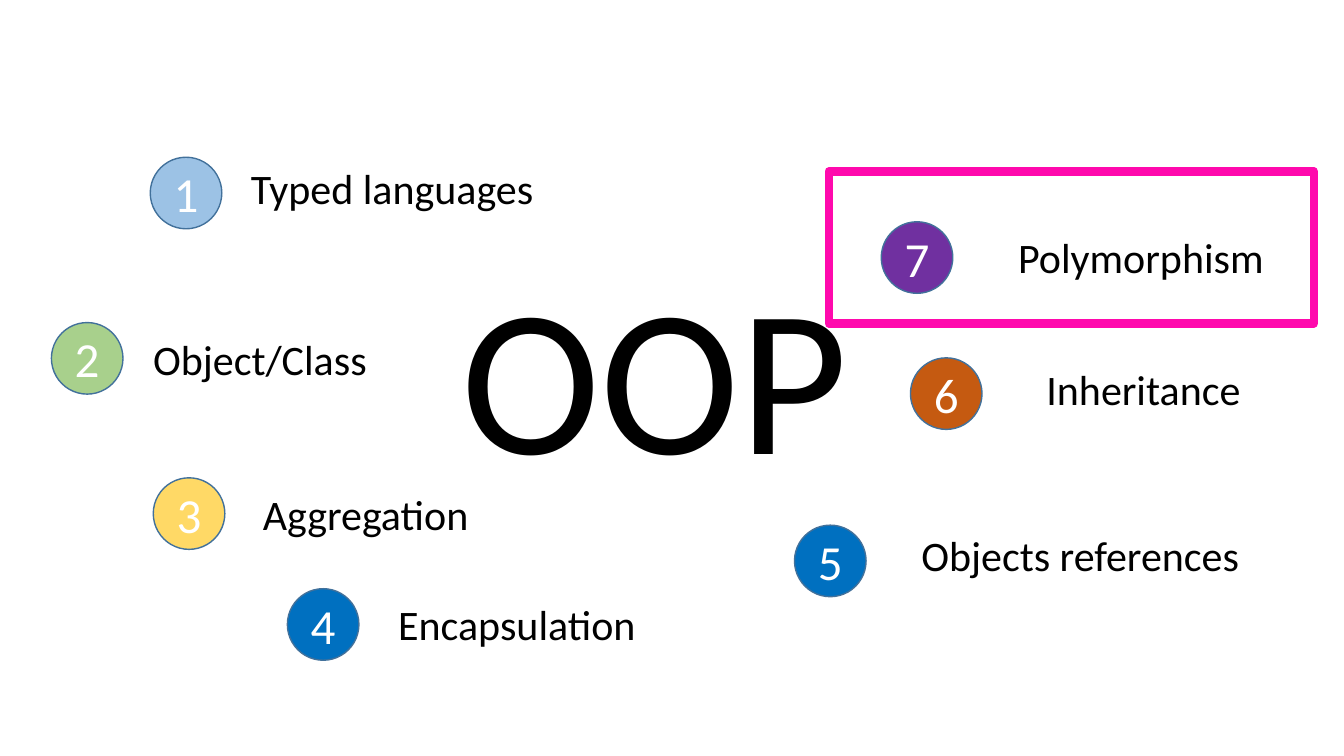
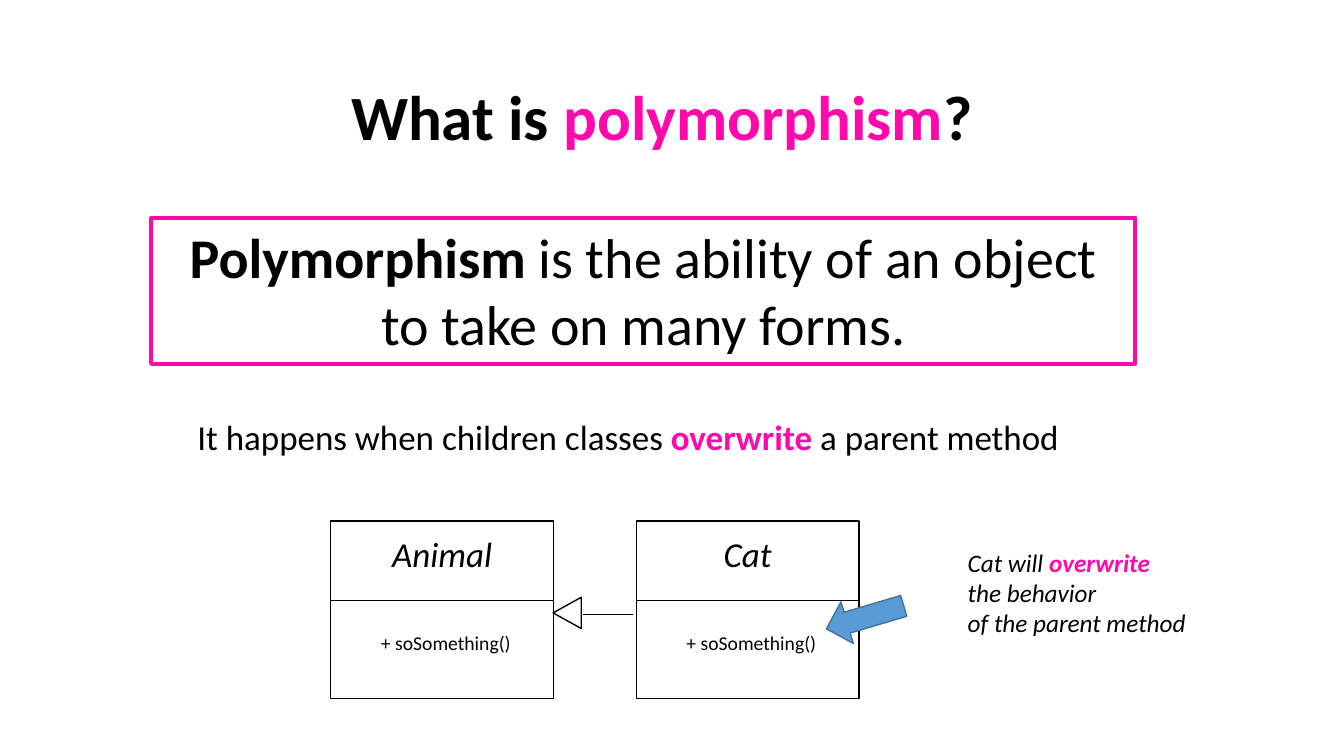
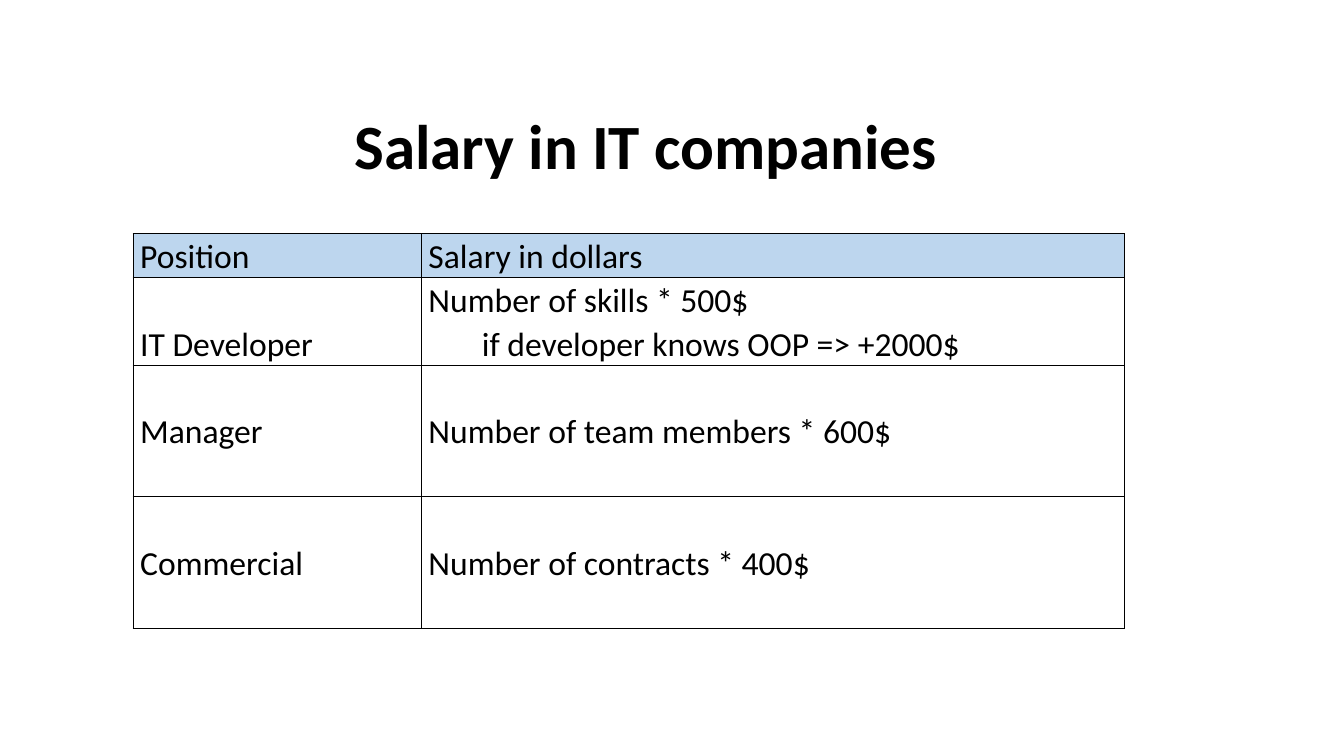
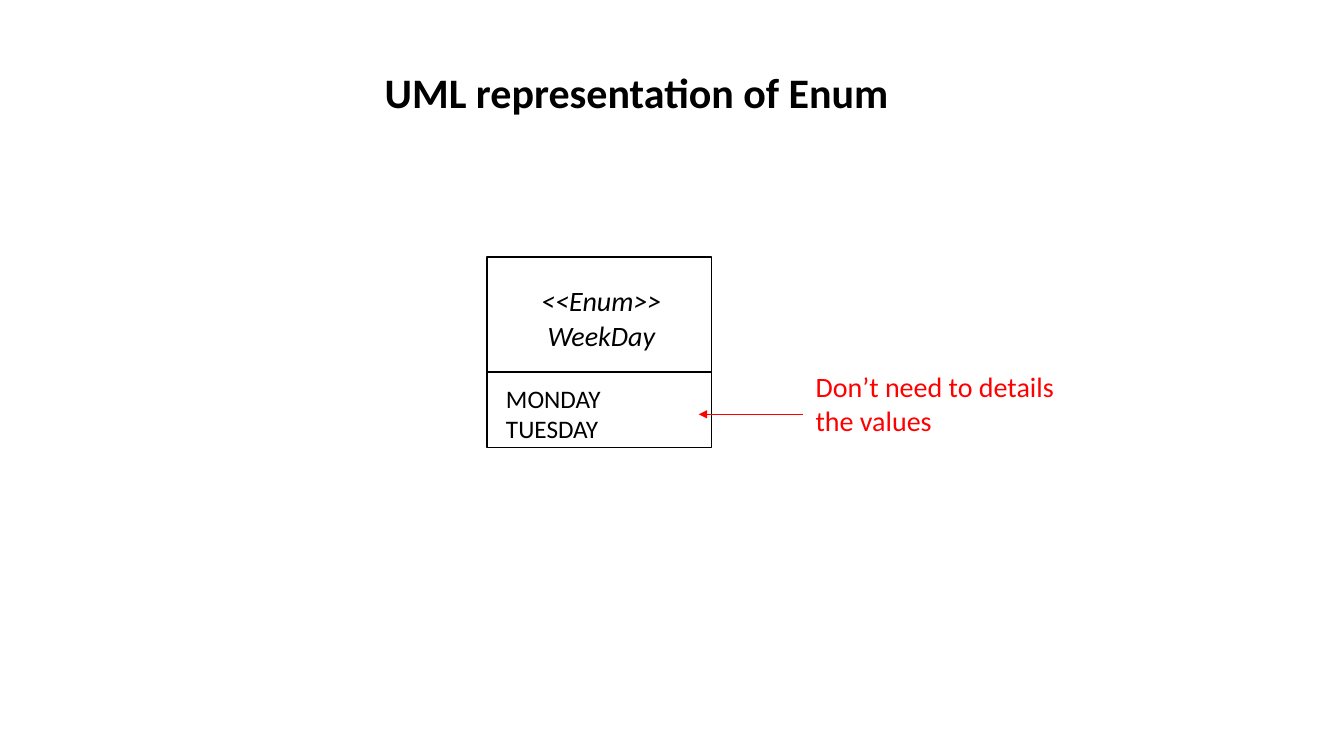
from lxml import etree
from pptx import Presentation
from pptx import util as u
from pptx.dml.color import RGBColor
from pptx.enum import shapes, text
from pptx.oxml.ns import qn

PX = 9144
FONT = "Calibri"
INK = RGBColor(0, 0, 0)
WHITE = RGBColor(255, 255, 255)
PINK = RGBColor(0xFF, 0x09, 0xAD)
RED = RGBColor(255, 0, 0)
BLUE = RGBColor(0x00, 0x70, 0xC0)
RIM = RGBColor(0x42, 0x71, 0x9B)
HEAD = RGBColor(0xBD, 0xD6, 0xEE)
ARROW = RGBColor(0x5B, 0x9B, 0xD5)

KIND = shapes.MSO_SHAPE
MID = text.PP_ALIGN.CENTER
ANCHOR = text.MSO_ANCHOR

TOPICS = [
    ("Typed languages", (149, 156), (239, 156), RGBColor(0x9C, 0xC2, 0xE5)),
    ("Object/Class", (51, 320), (142, 326), RGBColor(0xA8, 0xD0, 0x8C)),
    ("Aggregation", (152, 474), (251, 480), RGBColor(0xFF, 0xD9, 0x66)),
    ("Encapsulation", (285, 584), (385, 589), BLUE),
    ("Objects references", (788, 521), (904, 520), BLUE),
    ("Inheritance", (903, 355), (1028, 356), RGBColor(0xC5, 0x5A, 0x11)),
    ("Polymorphism", (874, 220), (1000, 225), RGBColor(0x70, 0x30, 0xA0)),
]

CLASSES = [("Animal", 328), ("Cat", 631)]
METHOD = "+ soSomething()"

COLS = [286, 697]
LINE = 43.5
SALARY = [
    (1, ANCHOR.TOP, "Position", ["Salary in dollars"]),
    (2, ANCHOR.BOTTOM, "IT Developer",
     ["Number of skills * 500$", "if developer knows OOP => +2000$"]),
    (3, ANCHOR.MIDDLE, "Manager", ["Number of team members * 600$"]),
    (3, ANCHOR.MIDDLE, "Commercial", ["Number of contracts * 400$"]),
]


def emu(*nums):
    return [u.Emu(round(n * PX)) for n in nums]


def style(para, size, color=INK, bold=False, italic=False, align=None):
    font = para.font
    font.name, font.size = FONT, u.Pt(size)
    font.bold, font.italic = bold, italic
    font.color.rgb = color
    para.alignment = align


def write(frame, lines, size, **look):
    for i, line in enumerate(lines):
        para = frame.add_paragraph() if i else frame.paragraphs[0]
        for part in [line] if isinstance(line, str) else line:
            run = para.add_run()
            if isinstance(part, str):
                run.text = part
            else:
                run.text, run.font.color.rgb = part
                run.font.bold = True
        style(para, size, **look)


def label(slide, box, lines, size, wrap=True, **look):
    frame = slide.shapes.add_textbox(*emu(*box)).text_frame
    frame.word_wrap = wrap
    write(frame, lines, size, **look)


def title(slide, box, parts, size=45):
    label(slide, box, [parts], size, wrap=False, bold=True, align=MID)


def shape(slide, kind, box, fill=WHITE, line=INK, width=1, turn=0):
    item = slide.shapes.add_shape(kind, *emu(*box))
    item.shadow.inherit = False
    if fill is None:
        item.fill.background()
    else:
        item.fill.solid()
        item.fill.fore_color.rgb = fill
    item.line.color.rgb = line
    item.line.width = u.Pt(width)
    item.rotation = turn
    return item


def rule(slide, ends, color=INK, width=1, tip=False):
    item = slide.shapes.add_connector(shapes.MSO_CONNECTOR.STRAIGHT, *emu(*ends))
    item.line.color.rgb = color
    item.line.width = u.Pt(width)
    if tip:
        etree.SubElement(item.line._get_or_add_ln(), qn("a:tailEnd"), type="triangle")
    etree.SubElement(item._element.spPr, qn("a:effectLst"))


def border(cell):
    props = cell._tc.get_or_add_tcPr()
    for i, side in enumerate(("lnL", "lnR", "lnT", "lnB")):
        edge = etree.Element(qn("a:" + side), w=str(u.Pt(1)))
        fill = etree.SubElement(edge, qn("a:solidFill"))
        etree.SubElement(fill, qn("a:srgbClr"), val=str(INK))
        props.insert(i, edge)


def topics(slide):
    label(slide, (448, 238, 408, 263), ["OOP"], 150)
    for i, (name, dot, spot, color) in enumerate(TOPICS, 1):
        label(slide, (*spot, 350, 61), [name], 30)
        disc = shape(slide, KIND.OVAL, (*dot, 71, 71), color, RIM)
        disc.text_frame.vertical_anchor = ANCHOR.MIDDLE
        write(disc.text_frame, [str(i)], 35, color=WHITE, align=MID)
    shape(slide, KIND.RECTANGLE, (822, 170, 481, 151), None, PINK, 6)


def meaning(slide):
    title(slide, (328, 72, 657, 86), ["What is ", ("polymorphism", PINK), "?"])
    frame = shape(slide, KIND.RECTANGLE, (150, 216, 976, 145), None, PINK, 3).text_frame
    frame.vertical_anchor = ANCHOR.TOP
    write(frame, [[("Polymorphism", INK), " is the ability of an object to take on many forms."]],
          40, align=MID)
    label(slide, (186, 407, 884, 52),
          [["It happens when children classes ", ("overwrite ", PINK), "a parent method"]],
          25, wrap=False)
    for name, left in CLASSES:
        shape(slide, KIND.RECTANGLE, (left, 517, 221, 79))
        shape(slide, KIND.RECTANGLE, (left, 596, 221, 97))
        label(slide, (left, 523, 221, 52), [name], 25, italic=True, align=MID)
        label(slide, (left + 40, 621, 170, 34), [METHOD], 14)
    shape(slide, KIND.ISOSCELES_TRIANGLE, (547, 594, 31, 28), turn=270)
    rule(slide, (578, 609, 628, 609), width=0.25)
    shape(slide, KIND.LEFT_ARROW, (818, 591, 80, 43), ARROW, RIM, turn=343.5)
    label(slide, (950, 538, 294, 101),
          [["Cat will ", ("overwrite", PINK)], "the behavior", "of the parent method"],
          18, italic=True)


def salary(slide):
    title(slide, (339, 101, 603, 86), ["Salary in IT companies"])
    high = LINE * sum(row[0] for row in SALARY)
    table = slide.shapes.add_table(len(SALARY), 2, *emu(132, 232, sum(COLS), high)).table
    table.first_row = table.horz_banding = False
    for col, width in zip(table.columns, emu(*COLS)):
        col.width = width
    for r, (count, anchor, job, pay) in enumerate(SALARY):
        table.rows[r].height = emu(count * LINE)[0]
        for c, lines in enumerate(([job], pay)):
            cell = table.cell(r, c)
            cell.margin_left, cell.margin_right, cell.margin_top, cell.margin_bottom = emu(7, 7, 0, 0)
            cell.vertical_anchor = anchor
            if r:
                cell.fill.background()
            else:
                cell.fill.solid()
                cell.fill.fore_color.rgb = HEAD
            border(cell)
            write(cell.text_frame, lines, 24)
            for i, para in enumerate(cell.text_frame.paragraphs):
                para.line_spacing = 1.07
                if i:
                    para._p.get_or_add_pPr().set("marL", str(53 * PX))


def enum(slide):
    title(slide, (369, 61, 525, 61), ["UML representation of Enum"], 30)
    shape(slide, KIND.RECTANGLE, (483, 255, 223, 189))
    for name, top in (("<<Enum>>", 276), ("WeekDay", 311)):
        label(slide, (483, top, 227, 44), [name], 20, italic=True, align=MID)
    label(slide, (492, 375, 201, 71), ["MONDAY", "TUESDAY"], 18)
    rule(slide, (483, 369, 706, 369))
    label(slide, (799, 362, 269, 77), ["Don’t need to details the values"], 20, color=RED)
    rule(slide, (796, 411, 693, 411), RED, 0.5, tip=True)


def main():
    deck = Presentation()
    deck.slide_width, deck.slide_height = emu(1333, 750)
    for draw in (topics, meaning, salary, enum):
        draw(deck.slides.add_slide(deck.slide_layouts[6]))
    deck.save("out.pptx")


if __name__ == "__main__":
    main()
